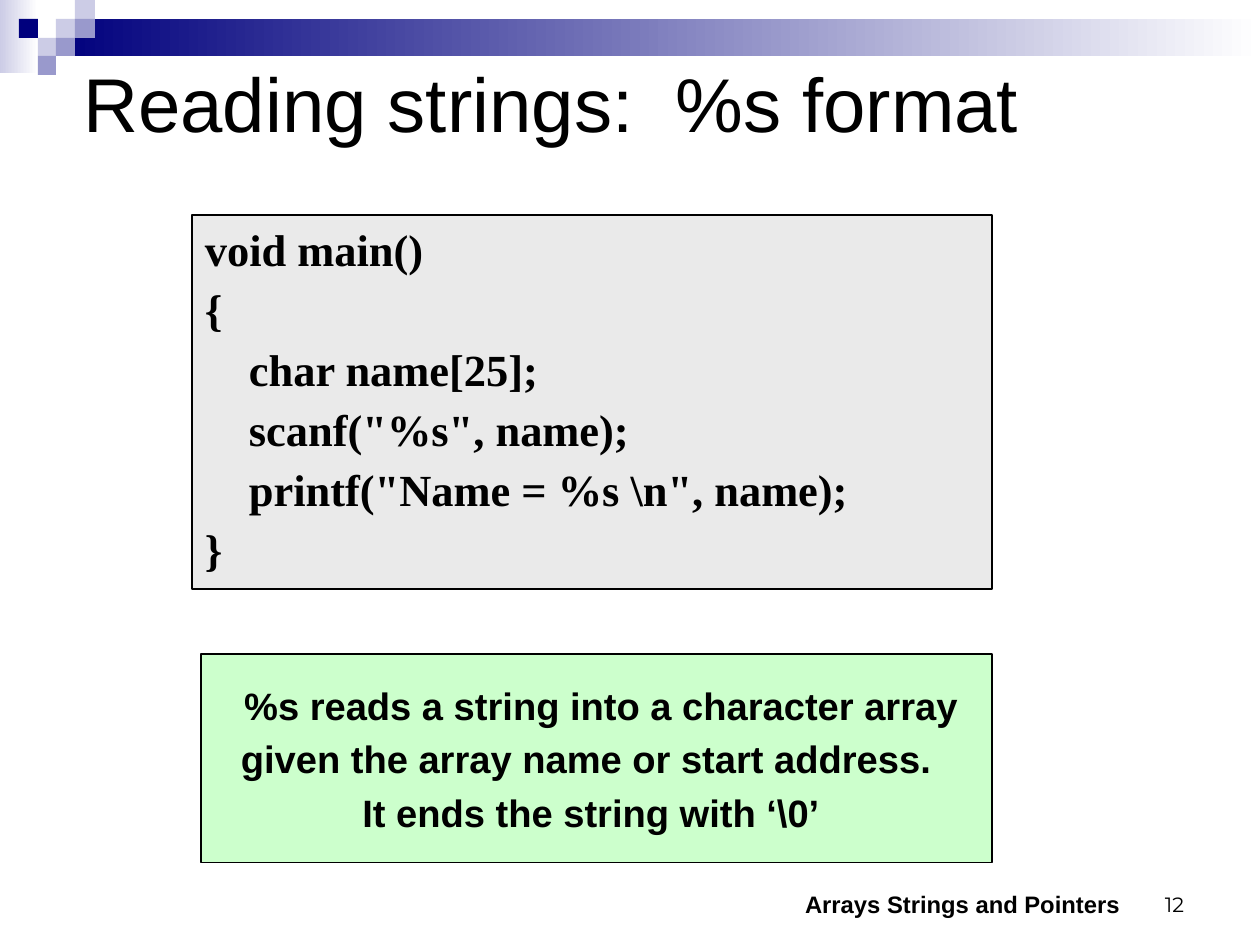
import pptx
import pptx.util
from pptx.dml.color import RGBColor
from pptx.enum.shapes import MSO_SHAPE
from pptx.enum.text import MSO_ANCHOR, MSO_AUTO_SIZE, PP_ALIGN
from dataclasses import dataclass

PX = 8000  # EMU


@dataclass(frozen=True)
class Theme:
    ink: str = "000000"
    paper: str = "FFFFFF"
    navy: str = "00007D"
    lilac: str = "CCCCE6"
    violet: str = "9999CC"
    code_fill: str = "EAEAEA"
    note_fill: str = "CCFFCC"
    sans: str = "Arial"
    serif: str = "Times New Roman"
    number_font: str = "Montserrat"
    title_size: int = 48
    code_size: int = 28
    note_size: int = 24
    footer_size: int = 15
    number_size: int = 13


THEME = Theme()
CODE_INDENT = 44
# Each line: left margin, right margin, text
TITLE = [(0, 0, "Reading strings:  %s format")]
CODE = [
    (0, 0, "void main()"),
    (0, 0, "{"),
    (CODE_INDENT, 0, "char name[25];"),
    (CODE_INDENT, 0, 'scanf("%s", name);'),
    (CODE_INDENT, 0, 'printf("Name = %s \\n", name);'),
    (0, 0, "}"),
]
NOTE = [
    (9, 0, "%s reads a string into a character array"),
    (0, 21, "given the array name or start address."),
    (0, 11, "It ends the string with ‘\\0’"),
]
FOOTER = [(0, 0, "Arrays Strings and Pointers")]
PAGE = [(0, 0, "12")]

SLIDE_SIZE = (1260, 945)
FADES = [((0, 0, 38, 73), THEME.lilac), ((57, 19, 1203, 37), THEME.navy)]
MOSAIC_EDGES = [0, 19, 38, 56, 75, 95]
MOSAIC = [  # column, row, colour
    (3, 1, THEME.lilac), (4, 0, THEME.lilac), (4, 1, THEME.violet),
    (2, 2, THEME.lilac), (1, 1, THEME.navy), (3, 2, THEME.violet),
    (2, 3, THEME.violet),
]
INSETS = (13, 7)


def emu(lengths):
    return [length * PX for length in lengths]


def rgb(colour):
    return RGBColor.from_string(colour)


def add_box(slide, place, fill=None, line_width=None):
    box = slide.shapes.add_shape(MSO_SHAPE.RECTANGLE, *emu(place))
    box.shadow.inherit = False
    if fill:
        box.fill.solid()
        box.fill.fore_color.rgb = rgb(fill)
    if line_width:
        box.line.color.rgb = rgb(THEME.ink)
        box.line.width = pptx.util.Pt(line_width)
    else:
        box.line.fill.background()
    return box


def write(shape, lines, font, size, bold=False, align=PP_ALIGN.LEFT,
          anchor=MSO_ANCHOR.TOP, insets=INSETS, gap=0):
    """Fill a shape with lines in one style, with a gap in points between them."""
    frame = shape.text_frame
    frame.word_wrap = True
    frame.auto_size = MSO_AUTO_SIZE.NONE
    frame.vertical_anchor = anchor
    frame.margin_left = frame.margin_right = insets[0] * PX
    frame.margin_top = frame.margin_bottom = insets[1] * PX
    frame.text = "\n".join(text for _, _, text in lines)
    for index, (paragraph, (left, right, _)) in enumerate(zip(frame.paragraphs, lines)):
        paragraph.alignment = align
        paragraph.space_before = pptx.util.Pt(gap if index else 0)
        paragraph.font.name = font
        paragraph.font.size = pptx.util.Pt(size)
        paragraph.font.bold = bold
        paragraph.font.color.rgb = rgb(THEME.ink)
        properties = paragraph._p.get_or_add_pPr()
        properties.set("marL", str(left * PX))
        properties.set("marR", str(right * PX))
        properties.set("indent", "0")


def add_header(slide):
    for place, colour in FADES:
        fade = add_box(slide, place)
        fade.fill.gradient()
        fade.fill.gradient_angle = 0
        for stop, stop_colour in zip(fade.fill.gradient_stops, (colour, THEME.paper)):
            stop.color.rgb = rgb(stop_colour)
    for column, row, colour in MOSAIC:
        left, right = MOSAIC_EDGES[column:column + 2]
        top, bottom = MOSAIC_EDGES[row:row + 2]
        add_box(slide, (left, top, right - left, bottom - top), colour)


def main():
    deck = pptx.Presentation()
    deck.slide_width, deck.slide_height = emu(SLIDE_SIZE)
    slide = deck.slides.add_slide(deck.slide_layouts[5])
    add_header(slide)

    title = slide.shapes.title
    title.left, title.top, title.width, title.height = emu((70, 54, 1190, 96))
    write(title, TITLE, THEME.sans, THEME.title_size, anchor=MSO_ANCHOR.MIDDLE)

    code = add_box(slide, (192, 215, 800, 374), THEME.code_fill, 1)
    write(code, CODE, THEME.serif, THEME.code_size, bold=True, gap=4.2)

    note = add_box(slide, (201, 654, 791, 209), THEME.note_fill, 0.75)
    write(note, NOTE, THEME.sans, THEME.note_size, bold=True, align=PP_ALIGN.CENTER,
          anchor=MSO_ANCHOR.MIDDLE, insets=(0, 0), gap=4.8)

    for place, lines, font, size, bold in [
        ((903, 861, 294, 63), PAGE, THEME.number_font, THEME.number_size, False),
        ((772, 862, 361, 63), FOOTER, THEME.sans, THEME.footer_size, True),
    ]:
        write(slide.shapes.add_textbox(*emu(place)), lines, font, size, bold,
              PP_ALIGN.RIGHT, MSO_ANCHOR.BOTTOM)

    deck.save("out.pptx")


if __name__ == "__main__":
    main()
